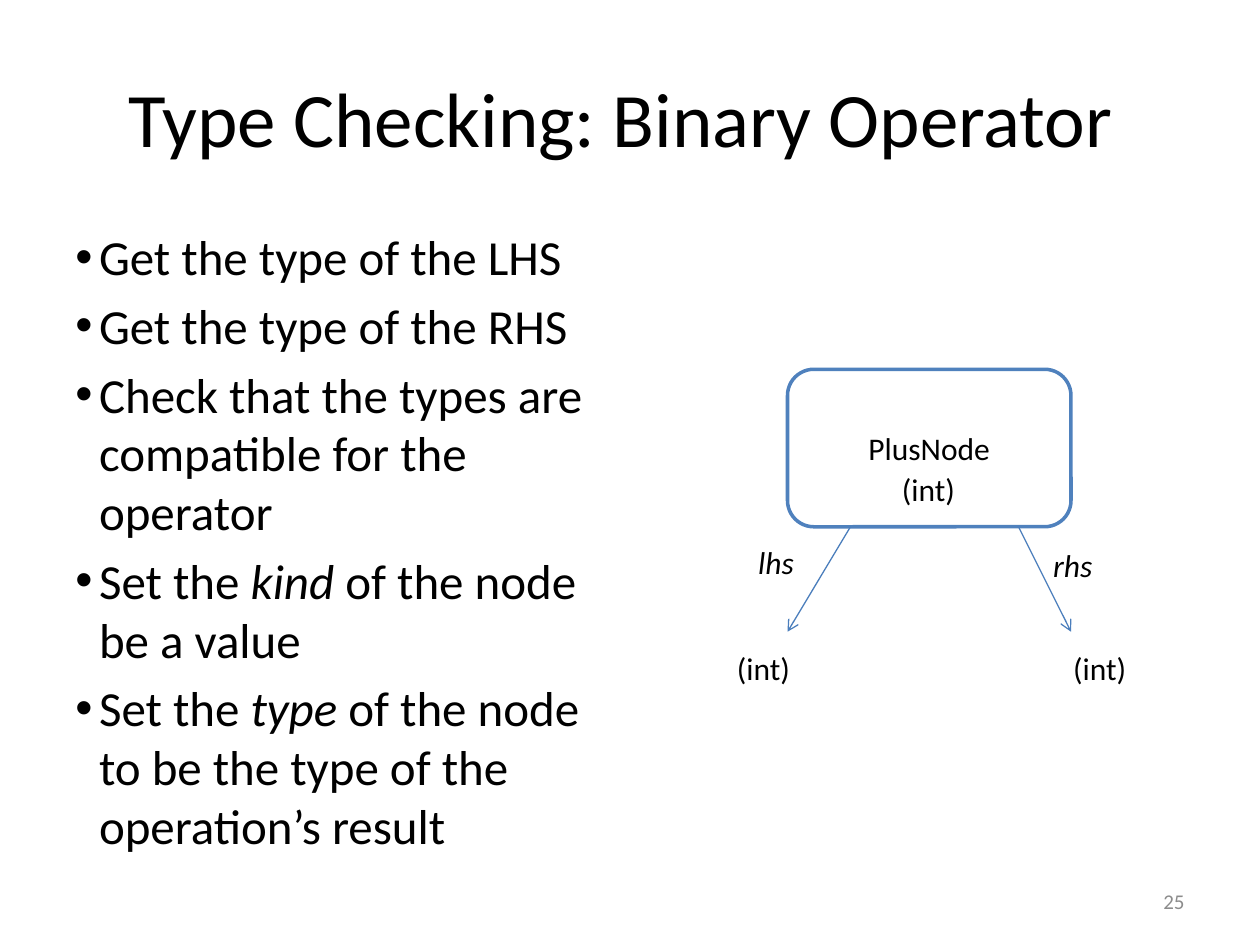
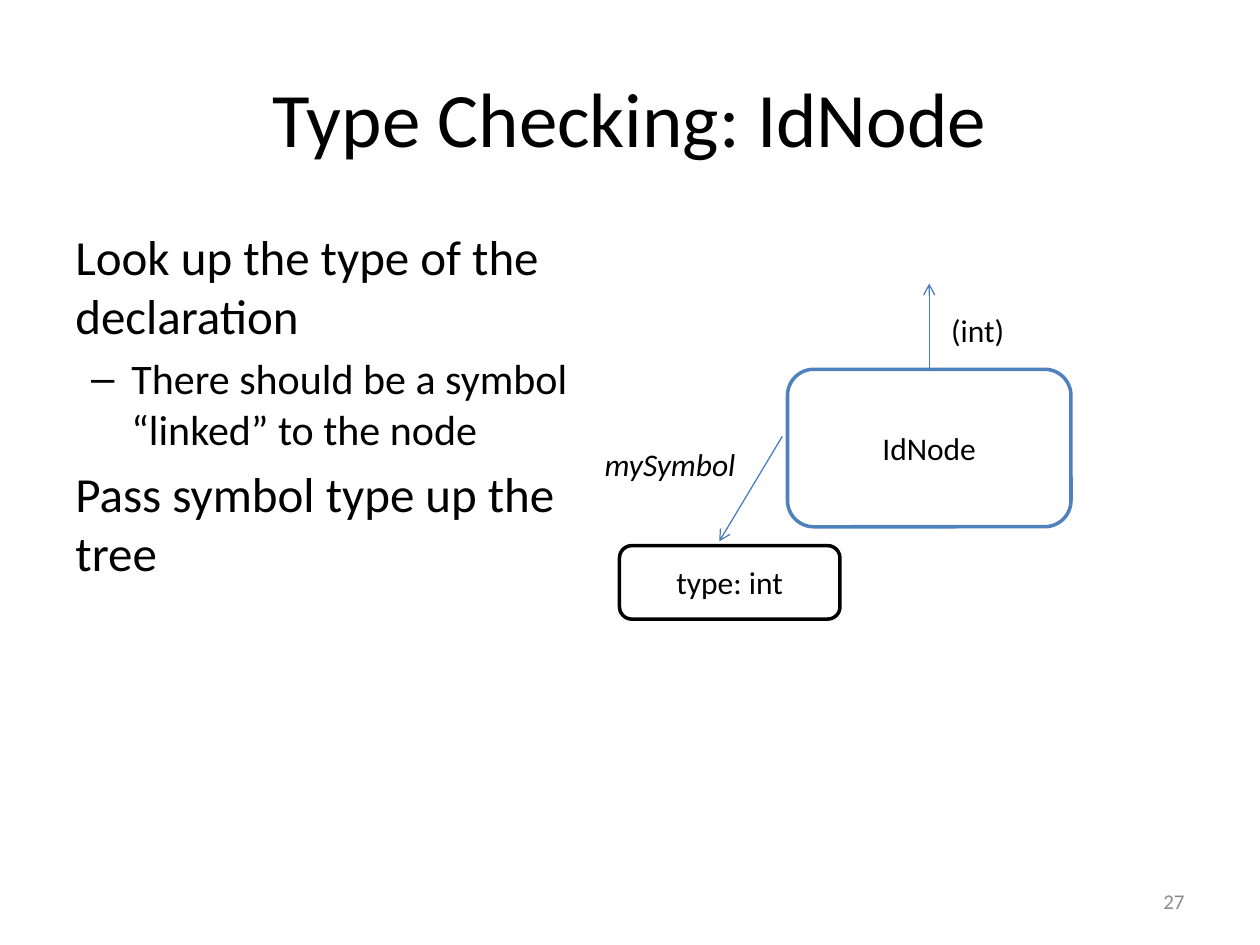
"""Two slides on type checking: a binary operator and an identifier node."""
from dataclasses import dataclass

import pptx
import pptx.dml.color
import pptx.enum.shapes
import pptx.enum.text
import pptx.oxml.ns
import pptx.presentation
import pptx.slide
import pptx.text.text
import pptx.util
from lxml import etree

Pt = pptx.util.Pt
RGBColor = pptx.dml.color.RGBColor
ALIGN = pptx.enum.text.PP_ALIGN
ANCHOR = pptx.enum.text.MSO_ANCHOR
AUTO_SIZE = pptx.enum.text.MSO_AUTO_SIZE

FONT = "Calibri"
BLACK = RGBColor(0x00, 0x00, 0x00)
WHITE = RGBColor(0xFF, 0xFF, 0xFF)
GREY = RGBColor(0x8C, 0x8C, 0x8C)
NODE_BLUE = RGBColor(0x4F, 0x81, 0xBD)
ARROW_BLUE = RGBColor(0x4B, 0x7E, 0xBC)
LABEL_HEIGHT = 28.8


@dataclass(frozen=True)
class Box:
    """A rectangle in points."""
    left: float
    top: float
    width: float
    height: float

    def lengths(self) -> list[pptx.util.Length]:
        """Return the four lengths in the order that python-pptx takes."""
        return [Pt(v) for v in (self.left, self.top, self.width, self.height)]


@dataclass(frozen=True)
class Point:
    """A paragraph of the body; *asterisks* enclose italic words."""
    text: str
    size: float = 28
    bullet: str = ""
    indent: float = 0
    hanging: float = 0
    level: int = 0


@dataclass(frozen=True)
class Node:
    """A rounded box of the syntax tree."""
    text: str
    box: Box
    outline: RGBColor = NODE_BLUE


@dataclass(frozen=True)
class Arrow:
    """A line from start to end with an open head at its end."""
    start: tuple[float, float]
    end: tuple[float, float]


@dataclass(frozen=True)
class Label:
    """A short text beside a node or an arrow."""
    text: str
    left: float
    top: float
    width: float = 45.4


@dataclass(frozen=True)
class Lesson:
    """The content of one slide."""
    title: str
    number: int
    points: list[Point]
    nodes: list[Node]
    arrows: list[Arrow]
    labels: list[Label]


TITLE_BOX = Box(36, 21.6, 648, 90)
BODY_BOX = Box(36, 126, 318.24, 356.4)
NUMBER_BOX = Box(516, 500.4, 168, 28.8)
NODE_BOX = Box(450, 211, 162, 90)
NODE_BOTTOM = NODE_BOX.top + NODE_BOX.height
NODE_RIGHT = NODE_BOX.left + NODE_BOX.width
NODE_MIDDLE = NODE_BOX.left + NODE_BOX.width / 2


def step(text: str) -> Point:
    """Return a bulleted point."""
    return Point(text, bullet="•", indent=13.5, hanging=13.5)


LESSONS = [
    Lesson(
        title="Type Checking: Binary Operator ",
        number=25,
        points=[
            step("Get the type of the LHS "),
            step("Get the type of the RHS"),
            step("Check that the types are compatible for the operator"),
            step("Set the *kind *of the node be a value"),
            step("Set the *type *of the node to be the type of the operation’s result"),
        ],
        nodes=[Node("PlusNode", NODE_BOX)],
        arrows=[
            Arrow((486, NODE_BOTTOM), (NODE_BOX.left, 361)),
            Arrow((582, NODE_BOTTOM), (NODE_RIGHT, 361)),
        ],
        labels=[
            Label("(int)", 414, 367.2),
            Label("*lhs*", 426.2, 306.7, 35.3),
            Label("*rhs*", 594.7, 308.2, 37.4),
            Label("(int)", 606.2, 367.2),
            Label("(int)", 508.3, 265),
        ],
    ),
    Lesson(
        title="Type Checking: IdNode",
        number=27,
        points=[
            Point("Look up the type of the declaration"),
            Point("There should be a symbol “linked” to the node", size=24,
                  bullet="–", indent=32, hanging=23, level=1),
            Point("Pass symbol type up the tree"),
        ],
        nodes=[Node("IdNode", NODE_BOX),
               Node("type: int", Box(354, 311.8, 126, 42), BLACK)],
        arrows=[
            Arrow((447, 249.4), (411, 309.4)),
            Arrow((NODE_MIDDLE, NODE_BOX.top), (NODE_MIDDLE, 162)),
        ],
        labels=[
            Label("*mySymbol*", 338.4, 250.6, 90),
            Label("(int)", 536.4, 174.2),
        ],
    ),
]


def write(paragraph: pptx.text.text._Paragraph, text: str, *, size: float = 18,
          color: RGBColor = BLACK, align: ALIGN = ALIGN.LEFT) -> None:
    """Fill a paragraph with text, setting words in asterisks in italics."""
    paragraph.alignment = align
    for index, piece in enumerate(text.split("*")):
        if piece:
            run = paragraph.add_run()
            run.text = piece
            run.font.name = FONT
            run.font.size = Pt(size)
            run.font.color.rgb = color
            run.font.italic = index % 2 == 1


def add_frame(slide: pptx.slide.Slide, box: Box, *, anchor: ANCHOR = ANCHOR.TOP,
              wrap: bool = True) -> pptx.text.text.TextFrame:
    """Add a text box and return its empty frame."""
    frame = slide.shapes.add_textbox(*box.lengths()).text_frame
    frame.word_wrap = wrap
    frame.vertical_anchor = anchor
    return frame


def add_body(slide: pptx.slide.Slide, points: list[Point]) -> None:
    """Write the points in the left column."""
    frame = add_frame(slide, BODY_BOX)
    for index, point in enumerate(points):
        paragraph = frame.add_paragraph() if index else frame.paragraphs[0]
        paragraph.level = point.level
        paragraph.space_before = Pt(0.2 * point.size)
        write(paragraph, point.text, size=point.size)
        if point.bullet:
            properties = paragraph._p.get_or_add_pPr()
            properties.set("marL", str(Pt(point.indent)))
            properties.set("indent", str(-Pt(point.hanging)))
            font = etree.SubElement(properties, pptx.oxml.ns.qn("a:buFont"))
            font.set("typeface", "Arial")
            mark = etree.SubElement(properties, pptx.oxml.ns.qn("a:buChar"))
            mark.set("char", point.bullet)


def add_node(slide: pptx.slide.Slide, node: Node) -> None:
    """Draw a white rounded box with its centred text."""
    kind = pptx.enum.shapes.MSO_SHAPE.ROUNDED_RECTANGLE
    shape = slide.shapes.add_shape(kind, *node.box.lengths())
    shape.shadow.inherit = False
    shape.fill.solid()
    shape.fill.fore_color.rgb = WHITE
    shape.line.color.rgb = node.outline
    shape.line.width = Pt(2)
    shape.text_frame.vertical_anchor = ANCHOR.MIDDLE
    write(shape.text_frame.paragraphs[0], node.text, align=ALIGN.CENTER)


def add_arrow(slide: pptx.slide.Slide, arrow: Arrow) -> None:
    """Draw a thin arrow without a shadow."""
    ends = [Pt(v) for v in (*arrow.start, *arrow.end)]
    straight = pptx.enum.shapes.MSO_CONNECTOR.STRAIGHT
    connector = slide.shapes.add_connector(straight, *ends)
    connector.line.color.rgb = ARROW_BLUE
    connector.line.width = Pt(0.75)
    head = etree.SubElement(connector.line._get_or_add_ln(), pptx.oxml.ns.qn("a:tailEnd"))
    head.set("type", "arrow")
    etree.SubElement(connector._element.spPr, pptx.oxml.ns.qn("a:effectLst"))


def add_label(slide: pptx.slide.Slide, label: Label) -> None:
    """Write a label in a box that fits its text."""
    box = Box(label.left, label.top, label.width, LABEL_HEIGHT)
    frame = add_frame(slide, box, wrap=False)
    frame.auto_size = AUTO_SIZE.SHAPE_TO_FIT_TEXT
    write(frame.paragraphs[0], label.text)


def add_lesson(deck: pptx.presentation.Presentation, lesson: Lesson) -> None:
    """Build one slide from its content."""
    slide = deck.slides.add_slide(deck.slide_layouts[6])
    title = add_frame(slide, TITLE_BOX, anchor=ANCHOR.MIDDLE)
    write(title.paragraphs[0], lesson.title, size=44, align=ALIGN.CENTER)
    add_body(slide, lesson.points)
    number = add_frame(slide, NUMBER_BOX, anchor=ANCHOR.MIDDLE)
    write(number.paragraphs[0], str(lesson.number), size=12, color=GREY, align=ALIGN.RIGHT)
    for node in lesson.nodes:
        add_node(slide, node)
    for arrow in lesson.arrows:
        add_arrow(slide, arrow)
    for label in lesson.labels:
        add_label(slide, label)


def main() -> None:
    """Build and save the deck."""
    deck = pptx.Presentation()
    deck.slide_width, deck.slide_height = Pt(720), Pt(540)
    for lesson in LESSONS:
        add_lesson(deck, lesson)
    deck.save("out.pptx")


main()
